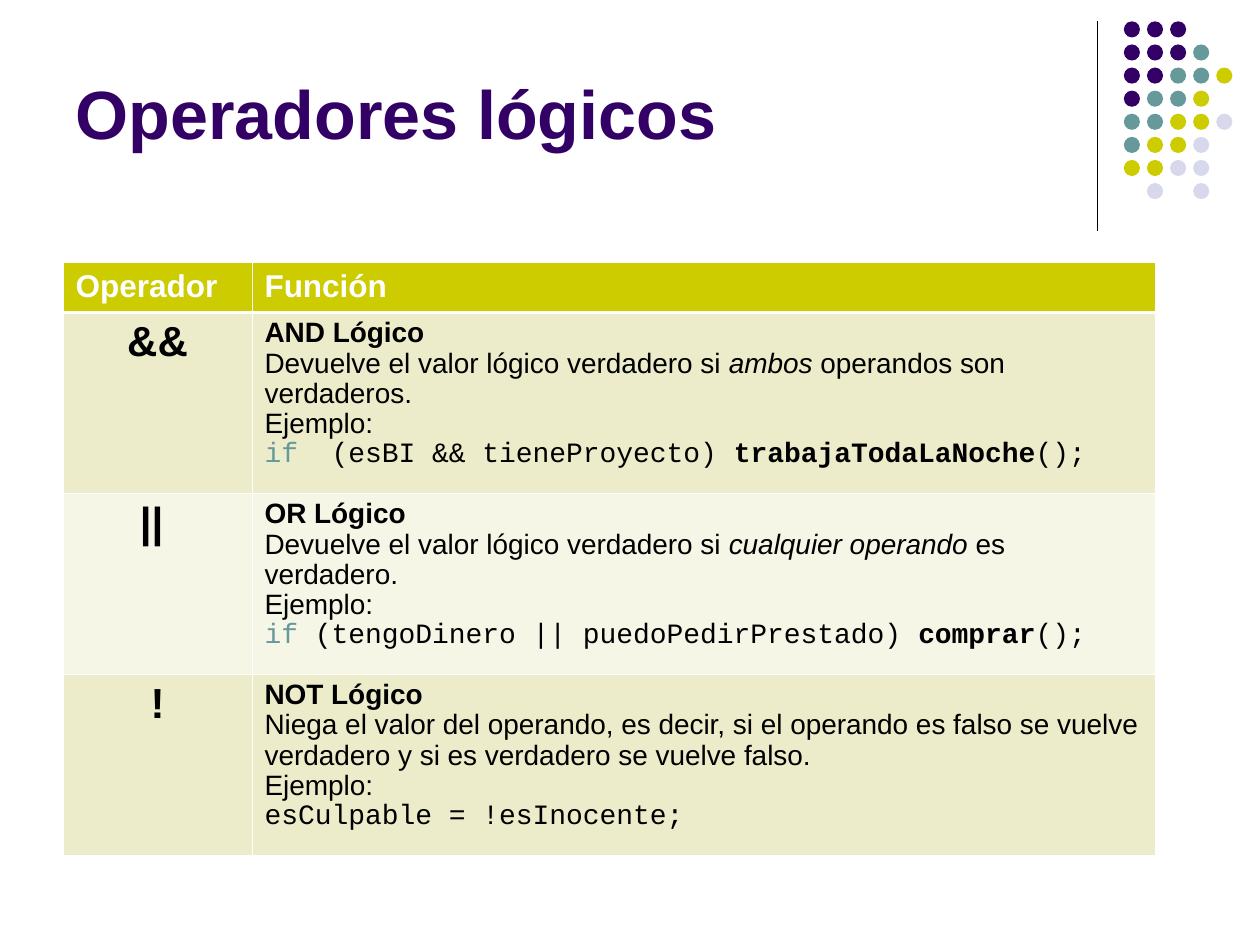
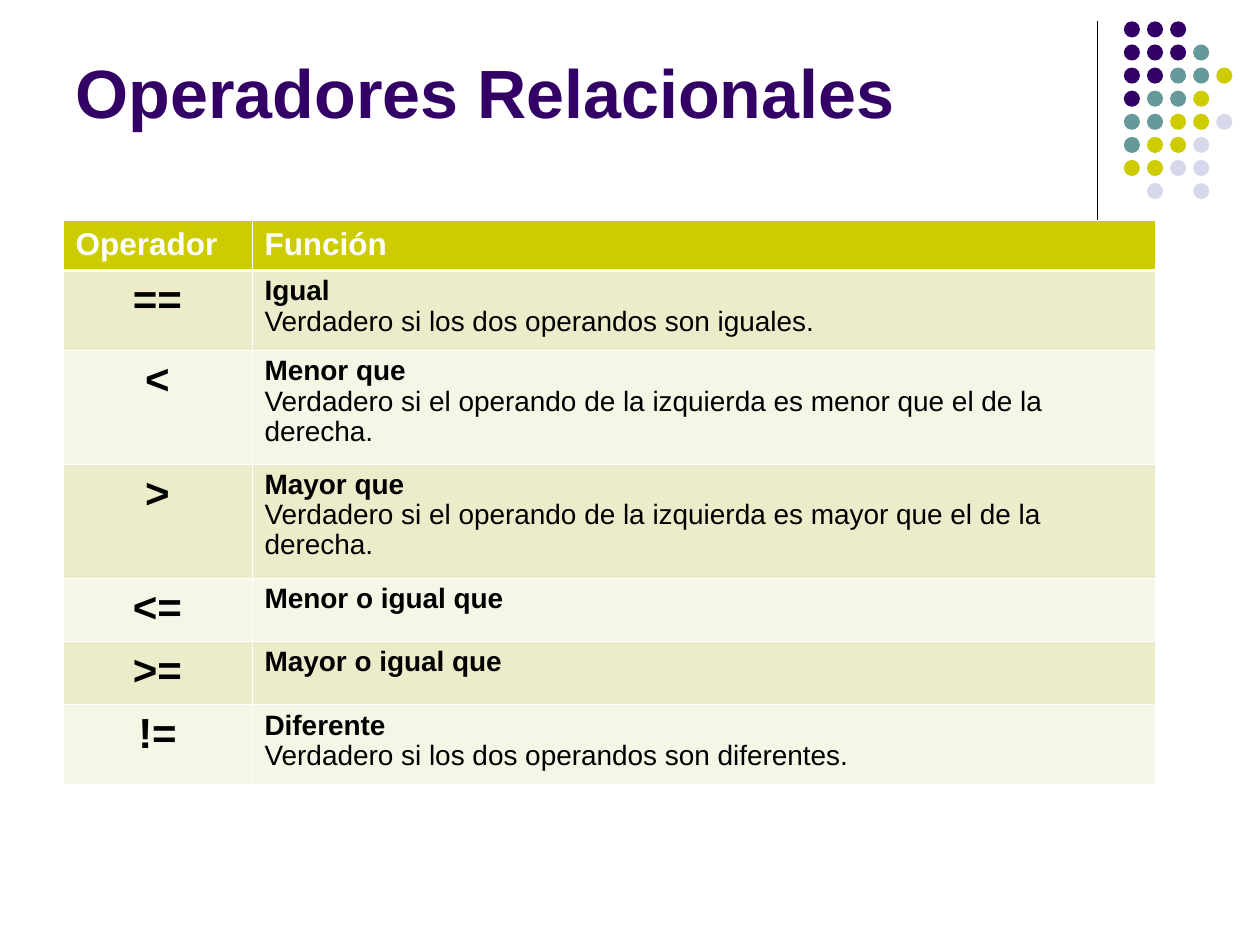
from lxml.etree import SubElement
from pptx import Presentation
from pptx.dml.color import RGBColor
from pptx.enum.shapes import MSO_CONNECTOR, MSO_SHAPE
from pptx.enum.text import MSO_ANCHOR, MSO_AUTO_SIZE, PP_ALIGN
from pptx.oxml.ns import qn
from pptx.util import Pt

COLORS = {
    "purple": "330066",
    "teal": "669999",
    "olive": "CCCC00",
    "lavender": "D8D8EC",
    "dark band": "ECECCB",
    "light band": "F6F6E7",
    "white": "FFFFFF",
    "black": "000000",
}
TEXT_FONT, CODE_FONT = "Arial", "Courier New"

LEFT = 36
COLUMN_WIDTHS = (108, 516)
HEADER_HEIGHT = 28.6
THIN, THICK = 0.45, 1.47

DOT_ROWS = ("ppp", "pppt", "pptto", "ptto", "ttool", "tool", "ooll", " l l")
DOT_COLORS = {"p": "purple", "t": "teal", "o": "olive", "l": "lavender"}
DOT_LEFT, DOT_TOP, DOT_PITCH, DOT_SIZE = 642.2, 12.2, 13.2, 9.2

STYLES = {
    "plain": {},
    "bold": {"bold": True},
    "italic": {"italic": True},
    "code": {"font": CODE_FONT},
    "keyword": {"font": CODE_FONT, "color": "teal"},
    "call": {"font": CODE_FONT, "bold": True},
}

# Each row: operator, row height, name, then paragraphs of (text, style) spans.
LOGICAL_ROWS = [
    ("&&", 103.4, "AND Lógico", [
        [("Devuelve el valor lógico verdadero si ", "plain"), ("ambos ", "italic"),
         ("operandos son verdaderos.", "plain")],
        [("Ejemplo:", "plain")],
        [("if", "keyword"), ("  (esBI && tieneProyecto) ", "code"),
         ("trabajaTodaLaNoche", "call"), ("();", "code")],
    ]),
    ("|| ", 103.4, "OR Lógico", [
        [("Devuelve el valor lógico verdadero si ", "plain"),
         ("cualquier operando ", "italic"), ("es verdadero.", "plain")],
        [("Ejemplo:", "plain")],
        [("if", "keyword"), (" (tengoDinero || puedoPedirPrestado) ", "code"),
         ("comprar", "call"), ("();", "code")],
    ]),
    ("!", 103.4, "NOT Lógico", [
        [("Niega el valor del operando, es decir, si el operando es falso se vuelve "
          "verdadero y si es verdadero se vuelve falso.", "plain")],
        [("Ejemplo:", "plain")],
        [("esCulpable = !esInocente;", "code")],
    ]),
]
RELATIONAL_ROWS = [
    ("==", 45.7, "Igual",
     [[("Verdadero si los dos operandos son iguales.", "plain")]]),
    ("<", 65, "Menor que",
     [[("Verdadero si el operando de la izquierda es menor que el de la derecha.", "plain")]]),
    (">", 65, "Mayor que",
     [[("Verdadero si el operando de la izquierda es mayor que el de la derecha.", "plain")]]),
    ("<=", 36.2, "Menor o igual que", []),
    (">=", 36.2, "Mayor o igual que", []),
    ("!=", 45.7, "Diferente",
     [[("Verdadero si los dos operandos son diferentes.", "plain")]]),
]


def rgb(name):
    return RGBColor.from_string(COLORS[name])


def format_span(span, size, font=TEXT_FONT, color="black", bold=False, italic=False):
    span.font.name = font
    span.font.size = Pt(size)
    span.font.bold = bold
    span.font.italic = italic
    span.font.color.rgb = rgb(color)


def add_title(slide, text, top):
    title = slide.shapes.title
    title.left, title.top, title.width, title.height = Pt(LEFT), Pt(top), Pt(588), Pt(90)
    frame = title.text_frame
    frame.text = text
    frame.word_wrap = True
    frame.auto_size = MSO_AUTO_SIZE.NONE
    frame.vertical_anchor = MSO_ANCHOR.TOP
    frame.margin_top = Pt(7)
    paragraph = frame.paragraphs[0]
    paragraph.alignment = PP_ALIGN.LEFT
    format_span(paragraph.runs[0], 39, color="purple", bold=True)


def add_divider(slide):
    line = slide.shapes.add_connector(
        MSO_CONNECTOR.STRAIGHT, Pt(627), Pt(12), Pt(627), Pt(132))
    line.line.color.rgb = rgb("black")
    line.line.width = Pt(0.75)
    SubElement(line.element.spPr, qn("a:effectLst"))


def add_dots(slide):
    dots = slide.shapes.add_group_shape()
    for row, letters in enumerate(DOT_ROWS):
        for column, letter in enumerate(letters):
            if letter == " ":
                continue
            dot = dots.shapes.add_shape(
                MSO_SHAPE.OVAL, Pt(DOT_LEFT + column * DOT_PITCH),
                Pt(DOT_TOP + row * DOT_PITCH), Pt(DOT_SIZE), Pt(DOT_SIZE))
            dot.shadow.inherit = False
            dot.fill.solid()
            dot.fill.fore_color.rgb = rgb(DOT_COLORS[letter])
            dot.line.fill.background()


def paint_cell(cell, fill, top=THIN, bottom=THIN):
    """Give the cell white borders and a solid fill; borders must precede the fill."""
    properties = cell._tc.get_or_add_tcPr()
    for side, width in (("L", THIN), ("R", THIN), ("T", top), ("B", bottom)):
        border = SubElement(properties, qn(f"a:ln{side}"), w=str(Pt(width)))
        solid = SubElement(border, qn("a:solidFill"))
        SubElement(solid, qn("a:srgbClr"), val=COLORS["white"])
    cell.fill.solid()
    cell.fill.fore_color.rgb = rgb(fill)


def write_label(cell, text, size, color, alignment):
    cell.text_frame.text = text
    paragraph = cell.text_frame.paragraphs[0]
    paragraph.alignment = alignment
    format_span(paragraph.runs[0], size, color=color, bold=True)


def write_description(cell, name, paragraphs):
    frame = cell.text_frame
    for index, spans in enumerate([[(name, "bold")], *paragraphs]):
        paragraph = frame.add_paragraph() if index else frame.paragraphs[0]
        paragraph.line_spacing = 0.97
        for text, style in spans:
            span = paragraph.add_run()
            span.text = text
            format_span(span, 16, **STYLES[style])


def add_operator_table(slide, top, rows):
    heights = [HEADER_HEIGHT] + [row[1] for row in rows]
    table = slide.shapes.add_table(
        len(heights), 2, Pt(LEFT), Pt(top), Pt(sum(COLUMN_WIDTHS)), Pt(sum(heights))).table
    for column, width in zip(table.columns, COLUMN_WIDTHS):
        column.width = Pt(width)
    for row, height in zip(table.rows, heights):
        row.height = Pt(height)

    for column, heading in enumerate(("Operador", "Función")):
        cell = table.cell(0, column)
        paint_cell(cell, "olive", bottom=THICK)
        write_label(cell, heading, 18, "white", PP_ALIGN.LEFT)

    for index, (operator, _, name, paragraphs) in enumerate(rows, start=1):
        symbol, description = table.cell(index, 0), table.cell(index, 1)
        for cell in (symbol, description):
            paint_cell(cell, "dark band" if index % 2 else "light band",
                       top=THICK if index == 1 else THIN)
        write_label(symbol, operator, 24, "black", PP_ALIGN.CENTER)
        write_description(description, name, paragraphs)


def add_operator_slide(deck, title, title_top, table_top, rows):
    slide = deck.slides.add_slide(deck.slide_layouts[5])
    add_divider(slide)
    add_dots(slide)
    add_title(slide, title, title_top)
    add_operator_table(slide, table_top, rows)


def main():
    deck = Presentation()
    deck.slide_width, deck.slide_height = Pt(720), Pt(540)
    add_operator_slide(deck, "Operadores lógicos", 34, 150, LOGICAL_ROWS)
    add_operator_slide(deck, "Operadores Relacionales", 21.6, 126, RELATIONAL_ROWS)
    deck.save("out.pptx")


if __name__ == "__main__":
    main()
